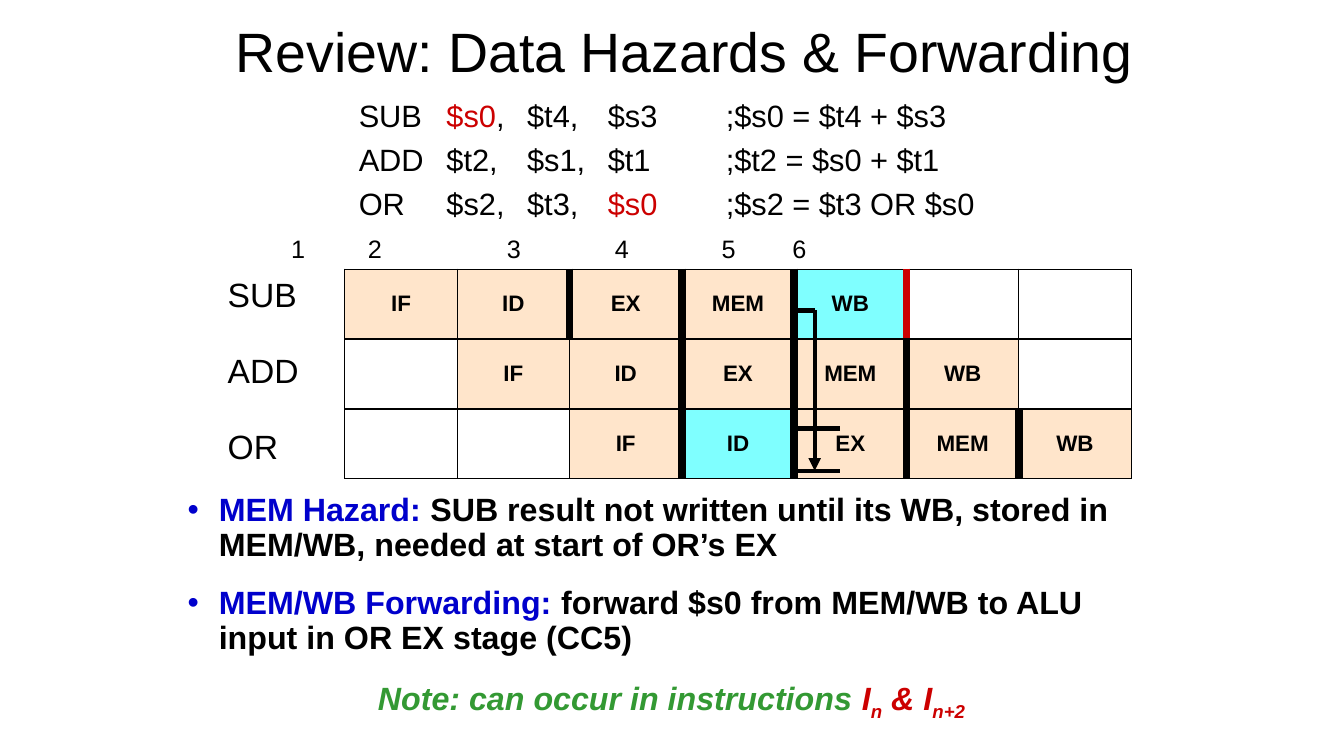
from lxml.etree import SubElement
from pptx import Presentation
from pptx.dml.color import RGBColor
from pptx.enum.shapes import MSO_CONNECTOR
from pptx.enum.text import MSO_ANCHOR, MSO_AUTO_SIZE, PP_ALIGN
from pptx.oxml import parse_xml
from pptx.oxml.ns import nsdecls, qn
from pptx.util import Inches, Pt

BLACK = RGBColor(0x00, 0x00, 0x00)
RED = RGBColor(0xCC, 0x00, 0x00)
BLUE = RGBColor(0x00, 0x00, 0xCC)
GREEN = RGBColor(0x33, 0x99, 0x33)
PEACH = RGBColor(0xFF, 0xCC, 0x99)
CYAN = RGBColor(0x00, 0xFF, 0xFF)

TITLE = "Review: Data Hazards & Forwarding"
CODE = [
    [("\tSUB\t", BLACK), ("$s0", RED), (",\t$t4,\t$s3\t;$s0 = $t4 + $s3", BLACK)],
    [("\tADD\t$t2,\t$s1,\t$t1\t;$t2 = $s0 + $t1", BLACK)],
    [("\tOR\t$s2,\t$t3,\t", BLACK), ("$s0", RED), ("\t;$s2 = $t3 OR $s0", BLACK)],
]
CODE_STOPS = (1.38, 2.25, 3.05, 3.85, 5.02)
INSTRUCTIONS = ("SUB", "ADD", "OR")
CYCLES = ("1", "2", "3", "4", "5", "6")
CYCLE_STOPS = (0.21, 0.97, 2.35, 3.42, 4.48, 5.18)
STAGES = ("IF", "ID", "EX", "MEM", "WB")
COLUMNS = 7
HIGHLIGHTS = {(0, 4), (2, 3)}
LATCHES = [
    {1: BLACK, 2: BLACK, 3: BLACK, 4: RED},
    {2: BLACK, 3: BLACK, 4: BLACK},
    {2: BLACK, 3: BLACK, 4: BLACK, 5: BLACK},
]
BULLETS = [
    [("MEM Hazard: ", BLUE),
     ("SUB result not written until its WB, stored in MEM/WB, "
      "needed at start of OR’s EX", BLACK)],
    [("MEM/WB Forwarding: ", BLUE),
     ("forward $s0 from MEM/WB to ALU input in OR EX stage (CC5)", BLACK)],
]
NOTE = [("Note: can occur in instructions ", GREEN), ("I", RED), ("n", RED, -25000),
        (" & I", RED), ("n+2", RED, -25000)]
FORWARDING_PATH = [
    ((7.91, 4.25), (8.33, 4.25), False),
    ((7.91, 4.67), (8.33, 4.67), False),
    ((8.08, 3.08), (8.08, 4.67), True),
    ((7.91, 3.08), (8.08, 3.08), False),
]


def set_all(target, values):
    """Set each named attribute of the target."""
    for name, value in values.items():
        setattr(target, name, value)


def place(shape, left, top, width, height):
    """Move and size a shape, in inches."""
    sides = {"left": left, "top": top, "width": width, "height": height}
    set_all(shape, {name: Inches(value) for name, value in sides.items()})


def prepare(box, anchor=MSO_ANCHOR.TOP, top_margin=0.05, side_margin=0.1):
    """Give a text frame its wrapping, anchor and margins."""
    frame = box.text_frame
    set_all(frame, {"word_wrap": True, "auto_size": MSO_AUTO_SIZE.NONE,
                    "vertical_anchor": anchor, "margin_top": Inches(top_margin),
                    "margin_left": Inches(side_margin),
                    "margin_right": Inches(side_margin)})
    return frame


def add_text_frame(slide, left, top, width, height, top_margin=0.05):
    """Add a text box and return its frame."""
    sides = [Inches(value) for value in (left, top, width, height)]
    return prepare(slide.shapes.add_textbox(*sides), top_margin=top_margin)


def write(para, spans, size, layout=None, **style):
    """Write coloured spans into a paragraph."""
    set_all(para, layout or {})
    for text, color, *baseline in spans:
        span = para.add_run()
        span.text = text
        set_all(span.font, {"name": "Arial", "size": Pt(size), **style})
        span.font.color.rgb = color
        if baseline:
            span.font._element.set("baseline", str(baseline[0]))


def next_paragraph(frame, index):
    """Return the first paragraph, or a new one after it."""
    return frame.add_paragraph() if index else frame.paragraphs[0]


def set_tabs(para, stops):
    """Add left tab stops, in inches."""
    tabs = SubElement(para._p.get_or_add_pPr(), qn("a:tabLst"))
    for stop in stops:
        SubElement(tabs, qn("a:tab"), pos=str(Inches(stop)), algn="l")


def set_bullet(para, has_bullet):
    """Give a paragraph a hanging blue bullet, or none."""
    properties = para._p.get_or_add_pPr()
    indent = Inches(0.31 if has_bullet else 0)
    properties.set("marL", str(indent))
    properties.set("indent", str(-indent))
    if has_bullet:
        color = SubElement(properties, qn("a:buClr"))
        SubElement(color, qn("a:srgbClr"), val=str(BLUE))
        SubElement(properties, qn("a:buFont"), typeface="Arial")
        SubElement(properties, qn("a:buChar"), char="•")
    else:
        SubElement(properties, qn("a:buNone"))


def set_borders(cell, left, right):
    """Draw the four borders; a latch colour makes a side thick."""
    sides = (("lnL", left), ("lnR", right), ("lnT", None), ("lnB", None))
    for index, (side, latch) in enumerate(sides):
        width = Pt(6 if latch else 1)
        cell._tc.get_or_add_tcPr().insert(index, parse_xml(
            f'<a:{side} {nsdecls("a")} w="{width}"><a:solidFill>'
            f'<a:srgbClr val="{latch or BLACK}"/></a:solidFill></a:{side}>'))


def add_code(slide):
    """Write the instructions with aligned operands."""
    frame = add_text_frame(slide, 2.08, 0.83, 9.58, 1.5, 0.13)
    for index, spans in enumerate(CODE):
        para = next_paragraph(frame, index)
        set_tabs(para, CODE_STOPS)
        write(para, spans, 22, {"space_before": Pt(5 if index else 0)})


def add_labels(slide):
    """Name the instruction of each pipeline row."""
    frame = add_text_frame(slide, 2.16, 2.67, 1, 2.1)
    for index, name in enumerate(INSTRUCTIONS):
        layout = {"space_before": Pt(25.3 if index else 0)}
        write(next_paragraph(frame, index), [(name, BLACK)], 24, layout)


def add_pipeline(slide):
    """Draw the table of stages, each row one cycle later."""
    table = slide.shapes.add_table(len(INSTRUCTIONS), COLUMNS, Inches(3.42), Inches(2.67),
                                   Inches(7.8), Inches(2.08)).table
    set_all(table, {"first_row": False, "horz_banding": False})
    for row, latches in enumerate(LATCHES):
        for column in range(COLUMNS):
            cell = table.cell(row, column)
            margins = ("margin_left", "margin_right", "margin_bottom")
            set_all(cell, dict.fromkeys(margins, Inches(0.05)))
            set_all(cell, {"margin_top": Inches(0.07), "vertical_anchor": MSO_ANCHOR.MIDDLE})
            if 0 <= column - row < len(STAGES):
                write(cell.text_frame.paragraphs[0], [(STAGES[column - row], BLACK)], 16,
                      {"alignment": PP_ALIGN.CENTER, "line_spacing": 0.9}, bold=True)
                cell.fill.solid()
                cell.fill.fore_color.rgb = CYAN if (row, column) in HIGHLIGHTS else PEACH
                color = cell._tc.tcPr.find(".//" + qn("a:srgbClr"))
                SubElement(color, qn("a:alpha"), val="50000")
            else:
                cell.fill.background()
            set_borders(cell, latches.get(column - 1), latches.get(column))


def add_explanation(body):
    """Write the bullets and the closing note."""
    place(body, 1.66, 4.75, 10, 2.75)
    frame = prepare(body, top_margin=0.14, side_margin=0.2)
    for index, spans in enumerate([*BULLETS, NOTE]):
        para = next_paragraph(frame, index)
        is_note = spans is NOTE
        set_bullet(para, not is_note)
        layout = {"alignment": PP_ALIGN.CENTER if is_note else PP_ALIGN.LEFT,
                  "line_spacing": 0.92, "space_before": Pt(15.6 if index else 0)}
        write(para, spans, 23, layout, bold=True, italic=is_note)


def add_forwarding_path(slide):
    """Draw the forwarding arrow and its marks."""
    for start, end, has_arrow in FORWARDING_PATH:
        points = [Inches(value) for value in (*start, *end)]
        line = slide.shapes.add_connector(MSO_CONNECTOR.STRAIGHT, *points)
        line.line.color.rgb = BLACK
        line.line.width = Pt(3)
        properties = line._element.spPr
        if has_arrow:
            SubElement(properties.find(qn("a:ln")), qn("a:tailEnd"), type="triangle")
        SubElement(properties, qn("a:effectLst"))


def main():
    """Build the slide and save the deck."""
    deck = Presentation()
    set_all(deck, {"slide_width": Inches(13.33), "slide_height": Inches(7.5)})
    slide = deck.slides.add_slide(deck.slide_layouts[1])
    title, body = slide.placeholders
    place(title, 1.91, 0.16, 9.75, 0.67)
    write(prepare(title, MSO_ANCHOR.MIDDLE).paragraphs[0], [(TITLE, BLACK)], 39.6,
          {"alignment": PP_ALIGN.CENTER})
    add_code(slide)
    add_labels(slide)
    add_pipeline(slide)
    add_explanation(body)
    add_forwarding_path(slide)
    para = add_text_frame(slide, 2.58, 2.27, 8, 0.4).paragraphs[0]
    set_tabs(para, CYCLE_STOPS)
    write(para, [("\t" + "\t".join(CYCLES), BLACK)], 18)
    deck.save("out.pptx")


if __name__ == "__main__":
    main()
